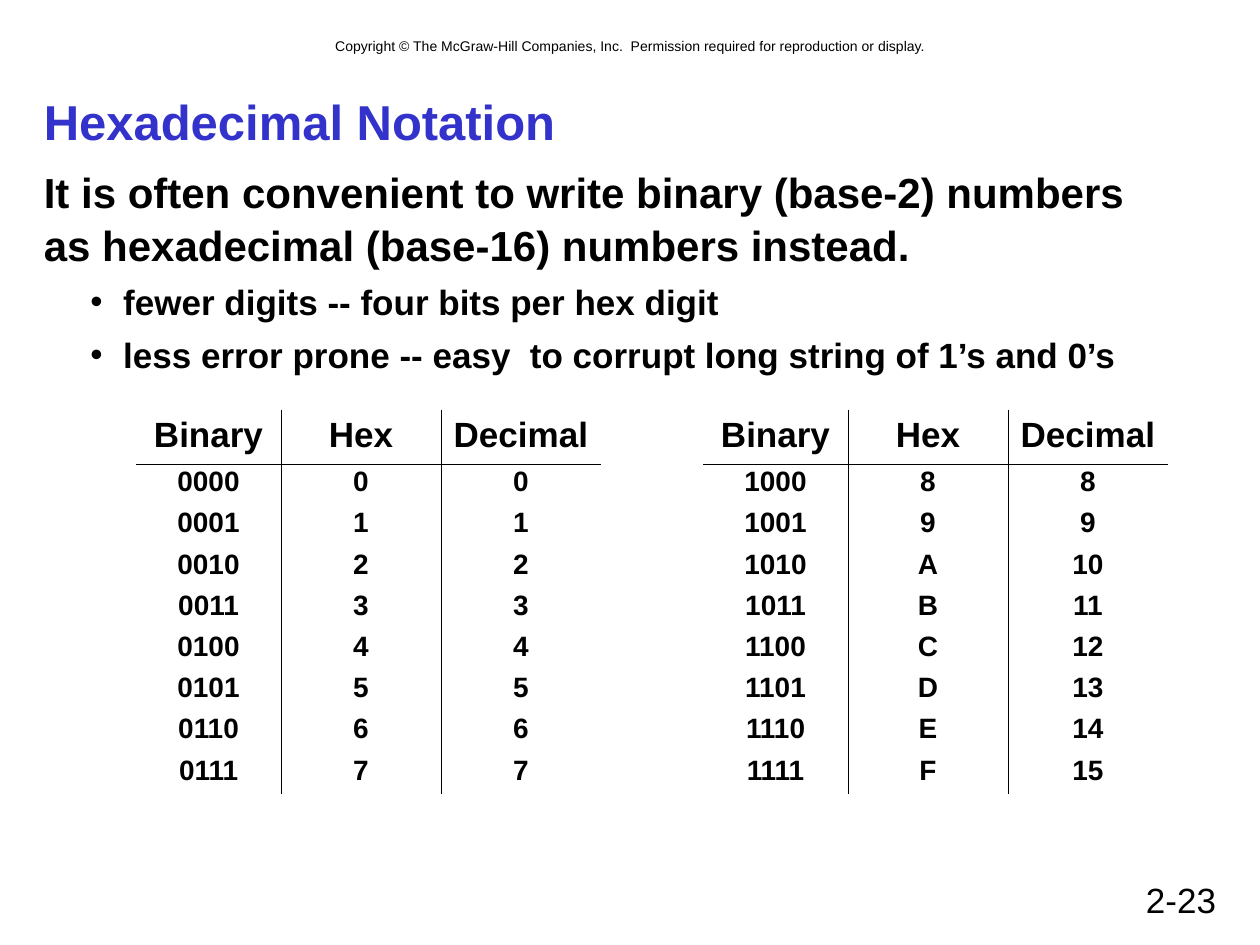
from pptx import Presentation
from pptx.dml.color import RGBColor
from pptx.enum.text import MSO_ANCHOR as Anchor, PP_ALIGN as Align
from pptx.oxml.ns import qn
from pptx.util import Inches, Pt
from lxml.etree import SubElement

BLACK = "000000"
BLUE = "3333CC"


def color(value):
    """Turn a hex string into a colour."""
    return RGBColor.from_string(value)


def add_bullet(para, left=0.63, hanging=0.26):
    """Give a paragraph a round bullet with a hanging indent."""
    props = para._p.get_or_add_pPr()
    props.set("marL", str(Inches(left)))
    props.set("indent", str(-Inches(hanging)))
    tint = SubElement(props, qn("a:buClr"))
    SubElement(tint, qn("a:srgbClr"), val=BLACK)
    SubElement(props, qn("a:buFont"), typeface="Arial")
    SubElement(props, qn("a:buChar"), char="•")


def write(para, text, size, bold=False, tint=BLACK, align=Align.LEFT,
          before=0, spacing=None, bullet=False):
    """Write formatted text into a paragraph."""
    para.alignment = align
    para.space_before = Pt(before)
    if spacing:
        para.line_spacing = spacing
    if bullet:
        para.level = 1
        add_bullet(para)
    para.text = text
    para.font.name = "Arial"
    para.font.size = Pt(size)
    para.font.bold = bold
    para.font.color.rgb = color(tint)


def add_frame(page, box, anchor=Anchor.TOP):
    """Add a wrapping text box and return its text frame."""
    frame = page.shapes.add_textbox(*map(Inches, box)).text_frame
    frame.word_wrap = True
    frame.vertical_anchor = anchor
    return frame


def add_line_of_text(page, box, text, size, anchor=Anchor.TOP, **format):
    """Add a text box that holds a single paragraph."""
    write(add_frame(page, box, anchor).paragraphs[0], text, size, **format)


def add_body(page, box):
    """Add the statement and its two bullets."""
    frame = add_frame(page, box)
    write(frame.paragraphs[0],
          "It is often convenient to write binary (base-2) numbers\v"
          "as hexadecimal (base-16) numbers instead.",
          24, bold=True, spacing=1.05)
    for text in ("fewer digits -- four bits per hex digit",
                 "less error prone -- easy  to corrupt long string of 1’s and 0’s"):
        write(frame.add_paragraph(), text, 20, bold=True, before=5,
              spacing=1.05, bullet=True)


def set_borders(cell, visible):
    """Draw the named cell borders and hide the others."""
    props = cell._tc.get_or_add_tcPr()
    for side in "LRTB":
        line = SubElement(props, qn(f"a:ln{side}"), w=str(Pt(0.45)))
        if side in visible:
            fill = SubElement(line, qn("a:solidFill"))
            SubElement(fill, qn("a:srgbClr"), val=BLACK)
        else:
            SubElement(line, qn("a:noFill"))


def add_number_table(page, box, numbers):
    """Add a table of numbers in binary, hexadecimal and decimal."""
    rows = [("Binary", "Hex", "Decimal")]
    rows += [(f"{n:04b}", f"{n:X}", str(n)) for n in numbers]
    left, top, width, height = map(Inches, box)
    table = page.shapes.add_table(len(rows), 3, left, top, width, height).table
    table.first_row = table.horz_banding = False
    for column, length in zip(table.columns, (1.15, 1.27, 1.27)):
        column.width = Inches(length)
    header_height = Inches(0.43)
    for index, row in enumerate(table.rows):
        row.height = (height - header_height) // len(numbers) if index else header_height
    for r, texts in enumerate(rows):
        for c, text in enumerate(texts):
            cell = table.cell(r, c)
            sides = ("", "L")[c > 0] + ("", "R")[c < 2] + {0: "B", 1: "T"}.get(r, "")
            set_borders(cell, sides)
            cell.fill.background()
            write(cell.text_frame.paragraphs[0], text, 16 if r else 20, bold=True,
                  align=Align.CENTER, spacing=0.85 if r else None)


def build_slide(page):
    """Place all parts of the slide."""
    add_line_of_text(page, (0.67, 0.25, 8.67, 0.24),
                     "Copyright © The McGraw-Hill Companies, Inc.  "
                     "Permission required for reproduction or display.",
                     8, align=Align.CENTER)
    add_line_of_text(page, (7.17, 6.92, 2.58, 0.42), "2-23", 20, align=Align.RIGHT)
    add_line_of_text(page, (0.25, 0.67, 9.5, 0.58), "Hexadecimal Notation", 28,
                     anchor=Anchor.MIDDLE, bold=True, tint=BLUE)
    add_body(page, (0.25, 1.25, 9.5, 5.42))
    for half in range(2):
        add_number_table(page, (1.08 + 4.5 * half, 3.25, 3.69, 3.05),
                         range(8 * half, 8 * half + 8))


def main():
    """Build the deck and save it."""
    deck = Presentation()
    deck.slide_width, deck.slide_height = Inches(10), Inches(7.5)
    build_slide(deck.slides.add_slide(deck.slide_layouts[6]))
    deck.save("out.pptx")


if __name__ == "__main__":
    main()
